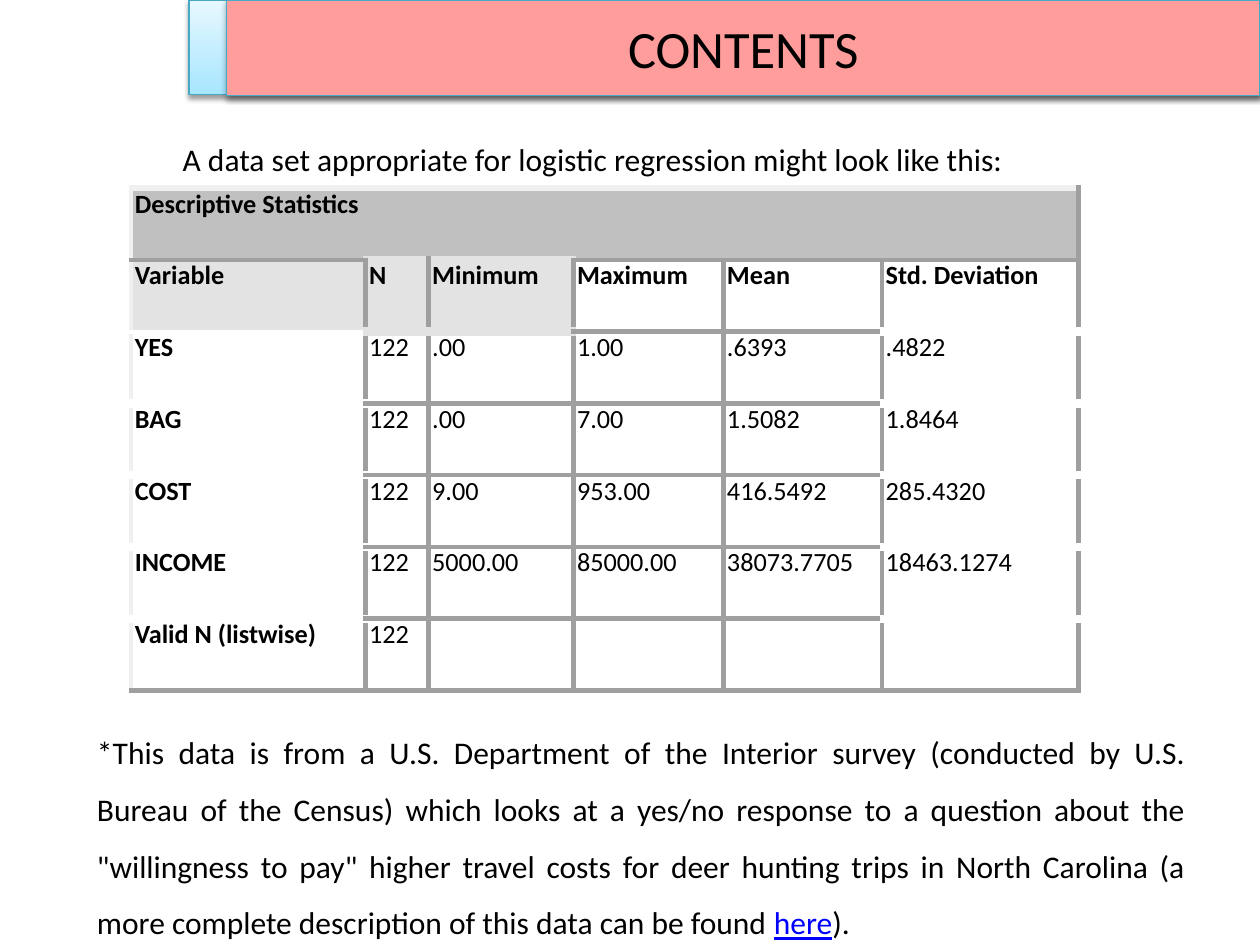
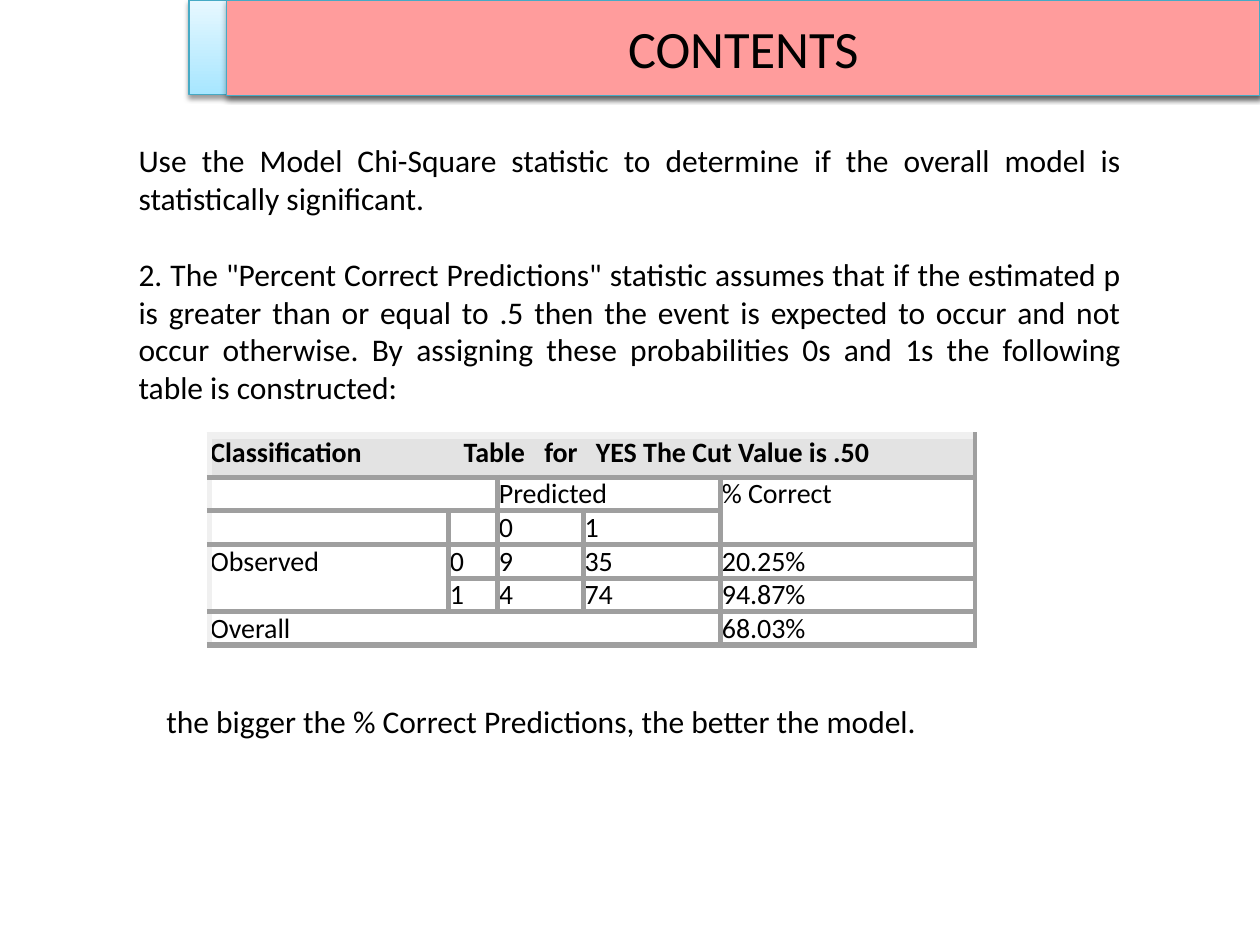
from dataclasses import dataclass

import pptx
import pptx.dml.color
import pptx.enum.shapes
import pptx.enum.text
import pptx.oxml.ns
import pptx.util
from lxml import etree

ALIGN = pptx.enum.text.PP_ALIGN
ANCHOR = pptx.enum.text.MSO_ANCHOR
RECTANGLE = pptx.enum.shapes.MSO_SHAPE.RECTANGLE
Inches, Pt = pptx.util.Inches, pptx.util.Pt
qn = pptx.oxml.ns.qn


@dataclass(frozen=True)
class Theme:
    font: str = "Calibri"
    ink: str = "000000"
    link: str = "0000FF"
    banner: str = "FF9C9C"
    outline: str = "46AAC5"
    tab_bottom: str = "A7E6FF"
    tab_top: str = "E7F8FF"
    grid: str = "9F9F9F"
    light_edge: str = "F0F0F0"
    title_fill: str = "C0C0C0"
    head_fill: str = "E3E3E3"
    white: str = "FFFFFF"
    title_size: int = 30
    body_size: int = 18
    statistics_size: int = 15
    classification_size: int = 16


THEME = Theme()
WIDTH, HEIGHT = 10, 7.5

# Content: places are left, top, width, height in percent of the slide
HEADING = "CONTENTS"
TAB_PLACE = (15, 0, 85, 10)
BANNER_PLACE = (18, 0, 82, 10.1)

DATA_INTRO = ["A data set appropriate for logistic regression might look like this:"]
DATA_SOURCE = [[
    ("*This data is from a U.S. Department of the Interior survey (conducted by U.S. "
     "Bureau of the Census) which looks at a yes/no response to a question about the "
     "\"willingness to pay\" higher travel costs for deer hunting trips in North "
     "Carolina (a more complete description of this data can be found ", False),
    ("here", True),
    (").", False),
]]
STATISTICS = [
    ["Descriptive Statistics", "", "", "", "", ""],
    ["Variable", "N", "Minimum", "Maximum", "Mean", "Std. Deviation"],
    ["YES", "122", ".00", "1.00", ".6393", ".4822"],
    ["BAG", "122", ".00", "7.00", "1.5082", "1.8464"],
    ["COST", "122", "9.00", "953.00", "416.5492", "285.4320"],
    ["INCOME", "122", "5000.00", "85000.00", "38073.7705", "18463.1274"],
    ["Valid N (listwise)", "122", "", "", "", ""],
]
STATISTICS_COLUMNS = [18.6, 5, 11.5, 11.9, 12.6, 15.6]
STATISTICS_ROWS = [7.6] * 7

MODEL_TESTS = [
    "Use the Model Chi-Square statistic to determine if the overall model is "
    "statistically significant.",
    "2. The \"Percent Correct Predictions\" statistic assumes that if the estimated p is "
    "greater than or equal to .5 then the event is expected to occur and not occur "
    "otherwise. By assigning these probabilities 0s and 1s the following table is "
    "constructed:",
]
CONCLUSION = ["the bigger the % Correct Predictions, the better the model."]
CLASSIFICATION = [
    ["Classification\tTable\tfor\tYES The Cut Value is .50", "", "", "", ""],
    ["", "", "Predicted", "", "% Correct"],
    ["", "", "0", "1", ""],
    ["Observed", "0", "9", "35", "20.25%"],
    ["", "1", "4", "74", "94.87%"],
    ["Overall", "", "", "", "68.03%"],
]
CLASSIFICATION_COLUMNS = [19, 3.9, 6.8, 10.9, 20.2]
CLASSIFICATION_ROWS = [4.4] + [3.55] * 5
CLASSIFICATION_TABS = (2.01, 2.65, 3.06)
# First and last cell of each merged region
CLASSIFICATION_MERGES = [((0, 0), (0, 4)), ((1, 0), (1, 1)), ((1, 2), (1, 3)),
                         ((1, 4), (2, 4)), ((3, 0), (4, 0)), ((5, 0), (5, 3))]


def across(percent):
    return Inches(WIDTH * percent / 100)


def down(percent):
    return Inches(HEIGHT * percent / 100)


def place(left, top, width, height):
    return across(left), down(top), across(width), down(height)


def rgb(colour):
    return pptx.dml.color.RGBColor.from_string(colour)


def child(parent, tag, **attributes):
    return etree.SubElement(parent, qn(tag), {k: str(v) for k, v in attributes.items()})


# Text
def write(frame, paragraphs, size=THEME.body_size, bold=False, align=ALIGN.LEFT,
          line_spacing=None, gap=0, tabs=()):
    """Each paragraph is a string or a list of (text, looks like a link) runs."""
    for index, content in enumerate(paragraphs):
        paragraph = frame.add_paragraph() if index else frame.paragraphs[0]
        paragraph.alignment = align
        if line_spacing:
            paragraph.line_spacing = line_spacing
        if index:
            paragraph.space_before = Pt(gap)
        if tabs:
            stops = child(paragraph._p.get_or_add_pPr(), "a:tabLst")
            for position in tabs:
                child(stops, "a:tab", pos=Inches(position), algn="l")
        if not content:
            child(paragraph._p, "a:endParaRPr", sz=size * 100)
            continue
        for text, linked in [(content, False)] if isinstance(content, str) else content:
            run = paragraph.add_run()
            run.text = text
            run.font.name, run.font.size, run.font.bold = THEME.font, Pt(size), bold
            run.font.color.rgb = rgb(THEME.link if linked else THEME.ink)
            if linked:
                run.font.underline = True


def add_text(slide, where, paragraphs, **style):
    frame = slide.shapes.add_textbox(*place(*where)).text_frame
    frame.word_wrap = True
    frame.margin_left = frame.margin_right = frame.margin_top = frame.margin_bottom = 0
    write(frame, paragraphs, **style)


# Heading band
def add_band(slide, where):
    band = slide.shapes.add_shape(RECTANGLE, *place(*where))
    band.line.color.rgb = rgb(THEME.outline)
    band.line.width = Pt(0.75)
    band.shadow.inherit = False
    effects = band._element.spPr.find(qn("a:effectLst"))
    shadow = child(effects, "a:outerShdw", blurRad=Pt(3.1), dist=Pt(1.6),
                   dir=90 * 60000, rotWithShape=0)
    child(child(shadow, "a:srgbClr", val=THEME.ink), "a:alpha", val=38000)
    return band


def add_heading(slide):
    tab = add_band(slide, TAB_PLACE)
    tab.fill.gradient()
    tab.fill.gradient_angle = 90
    for stop, colour in zip(tab.fill.gradient_stops, (THEME.tab_bottom, THEME.tab_top)):
        stop.color.rgb = rgb(colour)
    banner = add_band(slide, BANNER_PLACE)
    banner.fill.solid()
    banner.fill.fore_color.rgb = rgb(THEME.banner)
    banner.text_frame.vertical_anchor = ANCHOR.MIDDLE
    write(banner.text_frame, [HEADING], size=THEME.title_size, align=ALIGN.CENTER)


# Tables: the rules give (colour, width) for the line above a row or left of a column
def statistics_row_line(row, column):
    if row == 0:
        return THEME.light_edge, 3.8
    if row == len(STATISTICS):
        return THEME.grid, 3.8
    if row <= 2 and column in (1, 2):
        return THEME.head_fill, 5.5
    if row >= 2 and column in (0, 5):
        return THEME.white, 2.6 if (row, column) == (2, 0) else 5.45
    return THEME.grid, 3


def classification_row_line(row, column):
    if row == 0:
        return THEME.light_edge, 4.25
    return THEME.grid, 3.9 if row == len(CLASSIFICATION) else 3.2


def column_line(column):
    return THEME.grid if column else THEME.light_edge, 3.1


def draw_border(cell, side, colour, width):
    line = child(cell._tc.get_or_add_tcPr(), f"a:ln{side}", w=Pt(width))
    child(child(line, "a:solidFill"), "a:srgbClr", val=colour)


def add_grid(slide, corner, values, columns, rows, merges, row_line, cell_fill,
             cell_style, inset):
    where = place(*corner, sum(columns), sum(rows))
    table = slide.shapes.add_table(len(rows), len(columns), *where).table
    table.first_row = table.horz_banding = False
    for column, width in zip(table.columns, columns):
        column.width = across(width)
    for row, height in zip(table.rows, rows):
        row.height = down(height)
    for first, last in merges:
        table.cell(*first).merge(table.cell(*last))
    for r, line in enumerate(values):
        for c, value in enumerate(line):
            cell = table.cell(r, c)
            cell.margin_left = Inches(inset)
            cell.margin_right = cell.margin_top = cell.margin_bottom = 0
            write(cell.text_frame, [value], **cell_style(r, c))
            if cell.is_spanned:
                continue
            tall, wide = (cell.span_height, cell.span_width) if cell.is_merge_origin else (1, 1)
            draw_border(cell, "L", *column_line(c))
            draw_border(cell, "R", *column_line(c + wide))
            draw_border(cell, "T", *row_line(r, c))
            draw_border(cell, "B", *row_line(r + tall, c))
            colour = cell_fill(r, c)
            if colour:
                cell.fill.solid()
                cell.fill.fore_color.rgb = rgb(colour)
            else:
                cell.fill.background()


def statistics_fill(row, column):
    if row == 0:
        return THEME.title_fill
    return THEME.head_fill if row == 1 and column < 3 else None


def statistics_style(row, column):
    return {"size": THEME.statistics_size, "bold": row < 2 or column == 0}


def classification_fill(row, column):
    return THEME.head_fill if row == 0 else None


def classification_style(row, column):
    title = (row, column) == (0, 0)
    return {"size": THEME.classification_size, "bold": title,
            "tabs": CLASSIFICATION_TABS if title else ()}


# Slides
def build_data_slide(slide):
    add_heading(slide)
    add_text(slide, (14.5, 14.8, 68.5, 4), DATA_INTRO)
    add_grid(slide, (10.4, 19.9), STATISTICS, STATISTICS_COLUMNS, STATISTICS_ROWS,
             [((0, 0), (0, 5))], statistics_row_line, statistics_fill,
             statistics_style, inset=0.03)
    add_text(slide, (7.7, 75.6, 86.4, 23.6), DATA_SOURCE, align=ALIGN.JUSTIFY,
             line_spacing=1.5)


def build_classification_slide(slide):
    add_heading(slide)
    add_text(slide, (11, 14.9, 78, 28.3), MODEL_TESTS, align=ALIGN.JUSTIFY, gap=22)
    add_grid(slide, (16.6, 46.1), CLASSIFICATION, CLASSIFICATION_COLUMNS,
             CLASSIFICATION_ROWS, CLASSIFICATION_MERGES, classification_row_line,
             classification_fill, classification_style, inset=0.01)
    add_text(slide, (13.2, 74.3, 60.7, 4), CONCLUSION)


def main():
    deck = pptx.Presentation()
    deck.slide_width, deck.slide_height = Inches(WIDTH), Inches(HEIGHT)
    blank = deck.slide_layouts[6]
    for build in (build_data_slide, build_classification_slide):
        build(deck.slides.add_slide(blank))
    deck.save("out.pptx")


if __name__ == "__main__":
    main()
